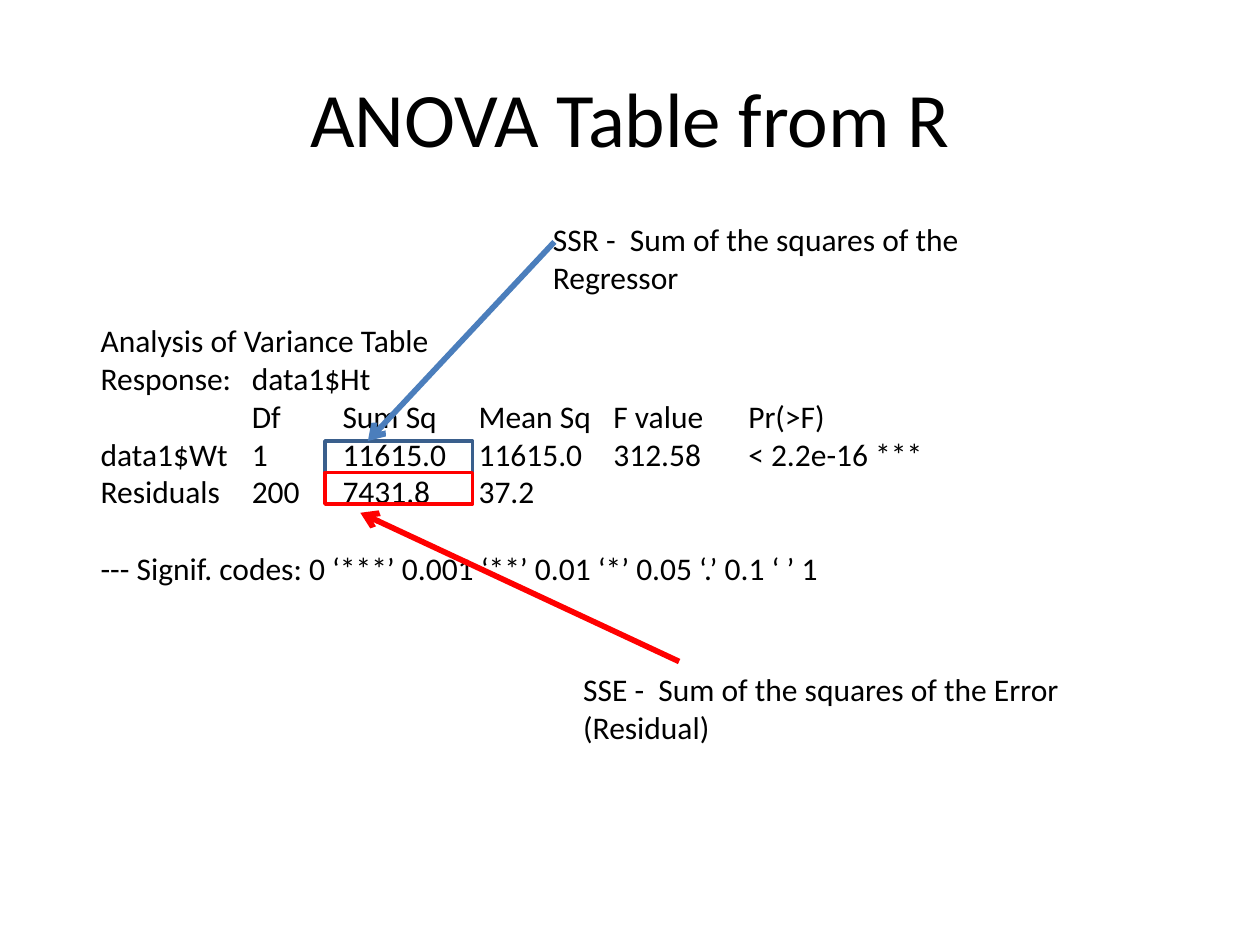
from lxml import etree
from pptx import Presentation
from pptx.dml.color import RGBColor
from pptx.enum.shapes import MSO_CONNECTOR, MSO_SHAPE
from pptx.enum.text import MSO_ANCHOR, PP_ALIGN
from pptx.oxml.ns import qn
from pptx.util import Inches, Pt

RECTANGLE = MSO_SHAPE.RECTANGLE
STRAIGHT = MSO_CONNECTOR.STRAIGHT
CENTER = PP_ALIGN.CENTER
MIDDLE = MSO_ANCHOR.MIDDLE

COLORS = {"text": "000000", "regressor_box": "3A5F8C",
          "regressor_arrow": "4B7EBC", "error": "FF0000"}
FONT = "Calibri"
BODY_SIZE = 18
LINE_HEIGHT = 22
TAB_STOPS = (1.2, 1.92, 3, 4.07, 5.14)
ANOVA_LINES = (
    "Analysis of Variance Table",
    "Response:\tdata1$Ht",
    "\tDf\tSum Sq\tMean Sq\tF value\tPr(>F)",
    "data1$Wt\t1\t11615.0\t11615.0\t312.58\t< 2.2e-16 ***",
    "Residuals\t200\t7431.8\t37.2",
    "--- Signif. codes: 0 ‘***’ 0.001 ‘**’ 0.01 ‘*’ 0.05 ‘.’ 0.1 ‘ ’ 1",
)
BOX_LEFT, BOX_TOP, BOX_WIDTH, BOX_HEIGHT = 2.58, 3.5, 1.17, 0.25


def color(name):
    return RGBColor.from_string(COLORS[name])


def format_runs(paragraph, size):
    for run in paragraph.runs:
        run.font.name = FONT
        run.font.size = Pt(size)
        run.font.color.rgb = color("text")


def set_title(slide, text):
    title = slide.shapes.title
    title.left, title.top = Inches(0.5), Inches(0.3)
    title.width, title.height = Inches(9), Inches(1.25)
    title.text_frame.text = text
    title.text_frame.vertical_anchor = MIDDLE
    paragraph = title.text_frame.paragraphs[0]
    paragraph.alignment = CENTER
    format_runs(paragraph, 44)


def add_text(slide, lines, left, top, width, height):
    box = slide.shapes.add_textbox(*map(Inches, (left, top, width, height)))
    frame = box.text_frame
    frame.word_wrap = True
    frame.text = "\n".join(lines)
    for paragraph in frame.paragraphs:
        format_runs(paragraph, BODY_SIZE)
    return frame


def set_tab_stops(paragraph):
    properties = paragraph._p.get_or_add_pPr()
    tab_list = etree.SubElement(properties, qn("a:tabLst"))
    for position in TAB_STOPS:
        etree.SubElement(tab_list, qn("a:tab"), pos=str(Inches(position)), algn="l")


def add_anova_output(slide):
    frame = add_text(slide, ANOVA_LINES, 0.7, 2.5, 8.28, 2.22)
    for paragraph in frame.paragraphs:
        set_tab_stops(paragraph)
    frame.paragraphs[-1].space_before = Pt(LINE_HEIGHT)


def add_highlight(slide, row, color_name):
    """Outline the sum of squares in the given row."""
    top = BOX_TOP + row * BOX_HEIGHT
    shape = slide.shapes.add_shape(
        RECTANGLE, *map(Inches, (BOX_LEFT, top, BOX_WIDTH, BOX_HEIGHT)))
    shape.shadow.inherit = False
    shape.fill.background()
    shape.line.color.rgb = color(color_name)
    shape.line.width = Pt(2)


def add_arrow(slide, start, end, color_name):
    arrow = slide.shapes.add_connector(STRAIGHT, *map(Inches, start + end))
    arrow.line.color.rgb = color(color_name)
    arrow.line.width = Pt(3.25)
    etree.SubElement(arrow.line._get_or_add_ln(), qn("a:tailEnd"), type="arrow")
    etree.SubElement(arrow._element.spPr, qn("a:effectLst"))


def main():
    presentation = Presentation()
    presentation.slide_width = Inches(10)
    presentation.slide_height = Inches(7.5)
    slide = presentation.slides.add_slide(presentation.slide_layouts[5])

    set_title(slide, "ANOVA Table from R")
    add_anova_output(slide)
    add_highlight(slide, 0, "regressor_box")
    add_highlight(slide, 1, "error")
    add_arrow(slide, (4.4, 1.92), (2.92, 3.5), "regressor_arrow")
    add_text(slide, ["SSR -  Sum of the squares of the Regressor"],
             4.29, 1.7, 3.58, 0.71)
    add_arrow(slide, (5.39, 5.25), (2.86, 4.07), "error")
    add_text(slide, ["SSE -  Sum of the squares of the Error (Residual)"],
             4.53, 5.27, 4.08, 0.71)
    presentation.save("out.pptx")


if __name__ == "__main__":
    main()
